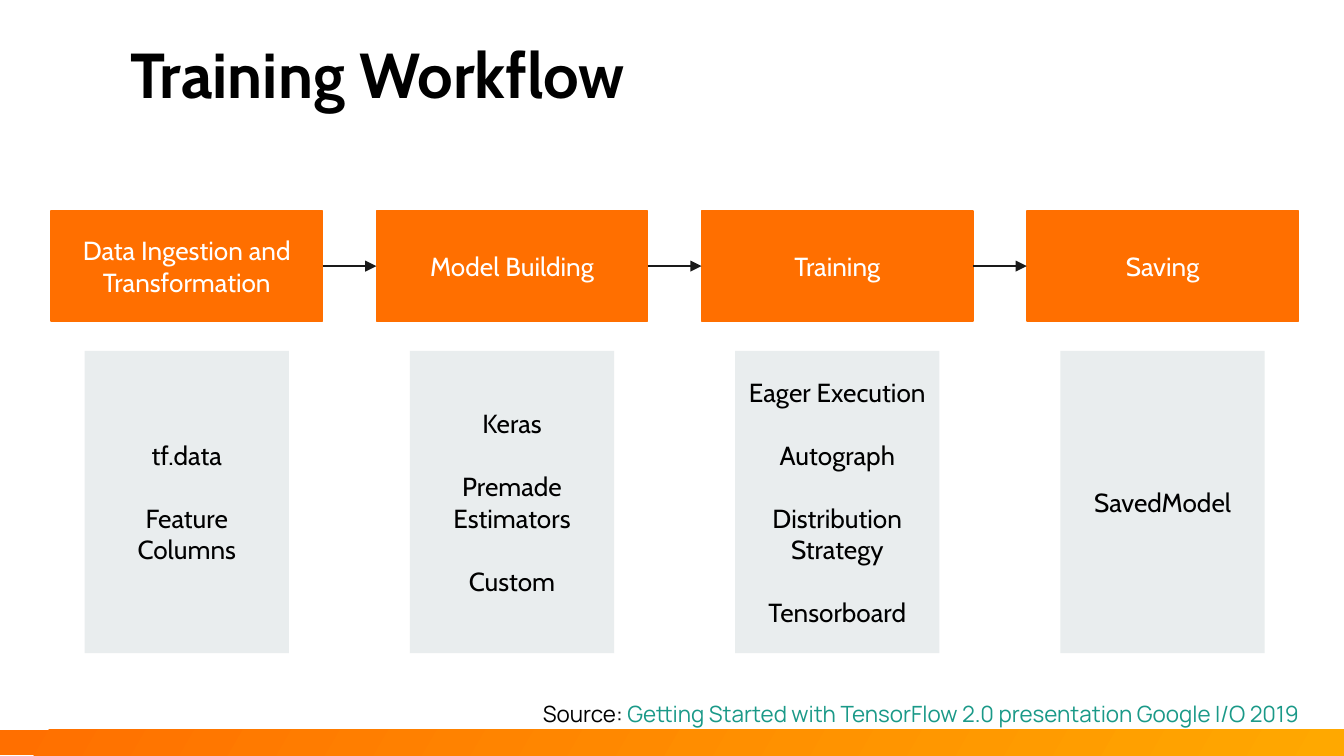
from dataclasses import dataclass

from lxml import etree
from pptx import Presentation
from pptx.dml.color import RGBColor
from pptx.enum.shapes import MSO_CONNECTOR, MSO_SHAPE
from pptx.enum.text import MSO_ANCHOR, PP_ALIGN
from pptx.oxml.ns import qn
from pptx.shapes.autoshape import Shape
from pptx.slide import Slide
from pptx.text.text import TextFrame
from pptx.util import Inches, Pt

RECTANGLE = MSO_SHAPE.RECTANGLE
STRAIGHT = MSO_CONNECTOR.STRAIGHT
TOP, MIDDLE = MSO_ANCHOR.TOP, MSO_ANCHOR.MIDDLE
LEFT, CENTER = PP_ALIGN.LEFT, PP_ALIGN.CENTER
RIGHT_SITE, LEFT_SITE = 3, 1


@dataclass(frozen=True)
class Theme:
    orange: str = "FF6F00"
    amber: str = "FFA800"
    panel: str = "E9EDEE"
    white: str = "FFFFFF"
    black: str = "000000"
    arrow: str = "1A1A1A"
    link: str = "1A9988"
    heading_font: str = "Cabin"
    source_font: str = "Manrope"
    title_size: float = 34
    body_size: float = 14
    source_size: float = 12
    item_gap: float = 17
    line_width: float = 0.75


@dataclass(frozen=True)
class Box:
    left: float
    top: float
    width: float
    height: float

    def lengths(self) -> tuple:
        return tuple(Inches(value) for value in (self.left, self.top, self.width, self.height))


@dataclass(frozen=True)
class TextRun:
    text: str
    color: str
    size: float
    font: str
    bold: bool = False


@dataclass(frozen=True)
class Stage:
    name: str
    tools: tuple[str, ...]


THEME = Theme()
SLIDE_WIDTH = Inches(10)
SLIDE_HEIGHT = SLIDE_WIDTH * 9 // 16
STAGE_LEFT, STAGE_PITCH, PANEL_INSET = 0.38, 2.42, 0.25
STAGES = (
    Stage("Data Ingestion and Transformation", ("tf.data", "Feature Columns")),
    Stage("Model Building", ("Keras", "Premade Estimators", "Custom")),
    Stage("Training", ("Eager Execution", "Autograph", "Distribution Strategy", "Tensorboard")),
    Stage("Saving", ("SavedModel",)),
)


def write_text(frame: TextFrame, paragraphs: list[list[TextRun]], alignment: PP_ALIGN,
               anchor: MSO_ANCHOR) -> None:
    frame.word_wrap = True
    frame.vertical_anchor = anchor
    frame.margin_left = frame.margin_right = Inches(0.1)
    frame.margin_top = frame.margin_bottom = Inches(0.1)
    for index, text_runs in enumerate(paragraphs):
        paragraph = frame.add_paragraph() if index else frame.paragraphs[0]
        paragraph.alignment = alignment
        if index:
            paragraph.space_before = Pt(THEME.item_gap)
        for text_run in text_runs:
            run = paragraph.add_run()
            run.text = text_run.text
            run.font.name = text_run.font
            run.font.size = Pt(text_run.size)
            run.font.bold = text_run.bold
            run.font.color.rgb = RGBColor.from_string(text_run.color)


def add_text(slide: Slide, box: Box, text_runs: list[TextRun]) -> None:
    text_box = slide.shapes.add_textbox(*box.lengths())
    write_text(text_box.text_frame, [text_runs], LEFT, TOP)


def add_block(slide: Slide, box: Box, lines: tuple[str, ...], fill: str, text_color: str,
              outline: str | None = None) -> Shape:
    shape = slide.shapes.add_shape(RECTANGLE, *box.lengths())
    shape.shadow.inherit = False
    shape.fill.solid()
    shape.fill.fore_color.rgb = RGBColor.from_string(fill)
    if outline:
        shape.line.color.rgb = RGBColor.from_string(outline)
        shape.line.width = Pt(THEME.line_width)
    else:
        shape.line.fill.background()
    paragraphs = [[TextRun(line, text_color, THEME.body_size, THEME.heading_font)] for line in lines]
    write_text(shape.text_frame, paragraphs, CENTER, MIDDLE)
    return shape


def add_arrow(slide: Slide, start: Shape, end: Shape) -> None:
    connector = slide.shapes.add_connector(STRAIGHT, 0, 0, 0, 0)
    connector.begin_connect(start, RIGHT_SITE)
    connector.end_connect(end, LEFT_SITE)
    connector.line.color.rgb = RGBColor.from_string(THEME.arrow)
    connector.line.width = Pt(THEME.line_width)
    etree.SubElement(connector.line._get_or_add_ln(), qn("a:tailEnd"), type="triangle")
    etree.SubElement(connector._element.spPr, qn("a:effectLst"))


def add_footer_band(slide: Slide, box: Box) -> None:
    band = slide.shapes.add_shape(RECTANGLE, *box.lengths())
    band.shadow.inherit = False
    band.line.fill.background()
    band.fill.gradient()
    band.fill.gradient_angle = 330
    for stop, position, color in zip(band.fill.gradient_stops, (0, 1), (THEME.orange, THEME.amber)):
        stop.position = position
        stop.color.rgb = RGBColor.from_string(color)


def add_stage(slide: Slide, stage: Stage, left: float) -> Shape:
    header = add_block(slide, Box(left, 1.57, 2.02, 0.82), (stage.name,),
                       THEME.orange, THEME.white, THEME.orange)
    add_block(slide, Box(left + PANEL_INSET, 2.61, 1.52, 2.25), stage.tools,
              THEME.panel, THEME.black)
    return header


def main() -> None:
    presentation = Presentation()
    presentation.slide_width = SLIDE_WIDTH
    presentation.slide_height = SLIDE_HEIGHT
    slide = presentation.slides.add_slide(presentation.slide_layouts[6])

    add_footer_band(slide, Box(0, 5.43, 10, 0.19))
    add_text(slide, Box(0.87, 0.16, 7.33, 0.49), [
        TextRun("Training Workflow", THEME.black, THEME.title_size, THEME.heading_font, True),
    ])
    headers = [add_stage(slide, stage, STAGE_LEFT + index * STAGE_PITCH)
               for index, stage in enumerate(STAGES)]
    for start, end in zip(headers, headers[1:]):
        add_arrow(slide, start, end)
    add_text(slide, Box(3.94, 5.11, 5.85, 0.38), [
        TextRun("Source: ", THEME.black, THEME.source_size, THEME.source_font),
        TextRun("Getting Started with TensorFlow 2.0 presentation Google I/O 2019",
                THEME.link, THEME.source_size, THEME.source_font),
    ])
    presentation.save("out.pptx")


if __name__ == "__main__":
    main()
